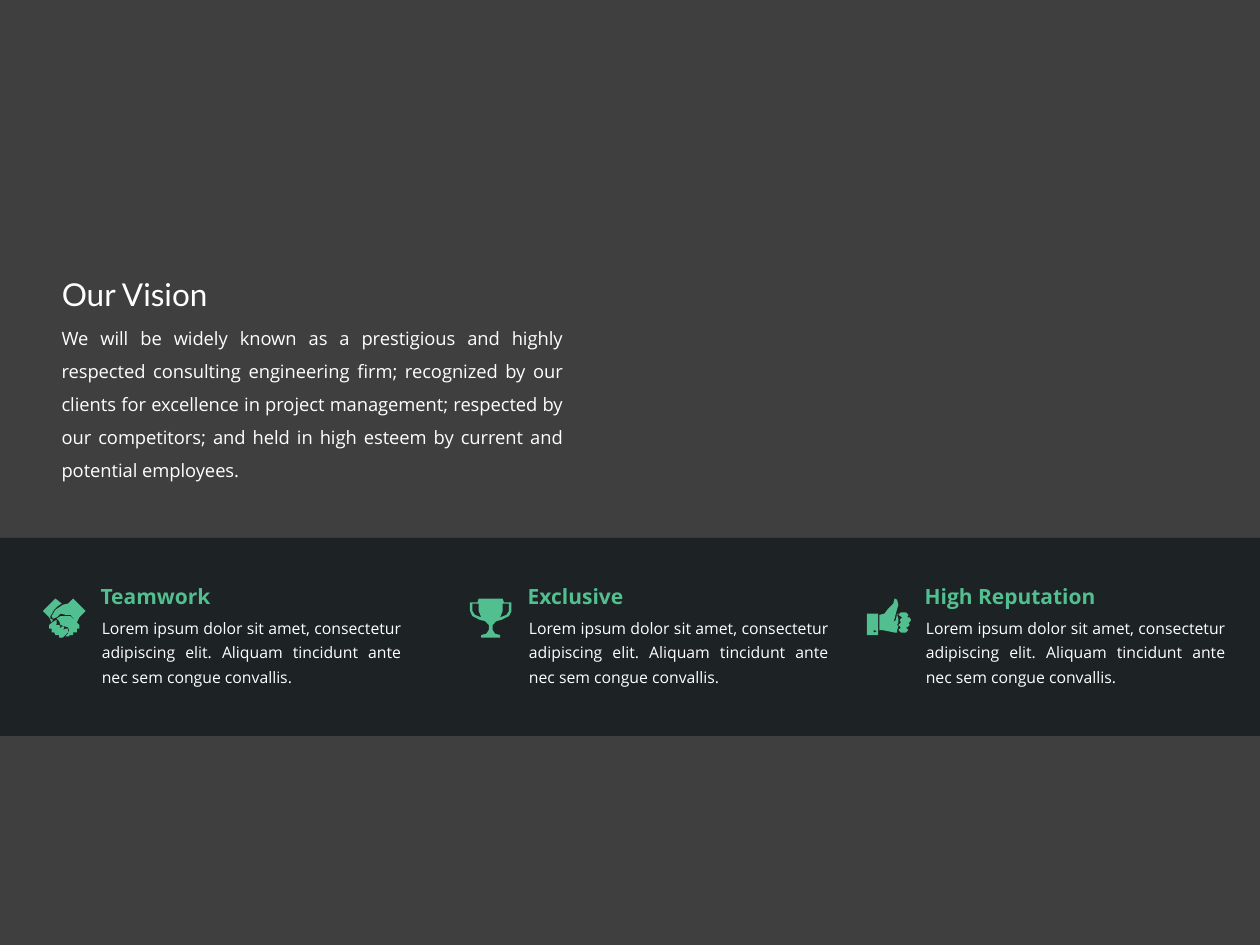
from lxml.etree import SubElement
from pptx import Presentation
from pptx.dml.color import RGBColor
from pptx.enum.shapes import MSO_SHAPE
from pptx.enum.text import MSO_ANCHOR, MSO_AUTO_SIZE, PP_ALIGN
from pptx.oxml.ns import qn
from pptx.util import Inches, Pt

COLORS = {"back": "3F3F3F", "band": "181E20", "accent": "52BF90", "text": "FFFFFF"}
VISION = (
    "We will be widely known as a prestigious and highly respected consulting "
    "engineering firm; recognized by our clients for excellence in project "
    "management; respected by our competitors; and held in high esteem by "
    "current and potential employees."
)
LOREM = (
    "Lorem ipsum dolor sit amet, consectetur adipiscing elit. "
    "Aliquam tincidunt ante nec sem congue convallis."
)
HANDSHAKE = [
    [(5, 15), (0, 10), (10, 0), (15, 4), (12, 6), (9, 9), (6, 14), (6, 16),
     (8, 17), (7, 19), (6, 17)],
    [(24, 0), (20, 4), (16, 5), (10, 9), (7, 14), (8, 16), (11, 15), (14, 12),
     (18, 13), (22, 13), (27, 19), (29, 15), (34, 10)],
    [(20, 24), (18, 24), (16, 25), (17, 23), (16, 22), (13, 24), (14, 22),
     (13, 21), (10, 21), (11, 20), (11, 17), (9, 18), (5, 21), (5, 24), (7, 24),
     (7, 27), (9, 27), (10, 29), (13, 29), (13, 31), (16, 31), (20, 27)],
    [(22, 14), (14, 14), (11, 16), (13, 18), (14, 21), (17, 22), (20, 23),
     (21, 25), (20, 28), (18, 30), (21, 30), (21, 29), (24, 29), (24, 27),
     (27, 27), (27, 24), (29, 24), (29, 21)],
]
TROPHY = [
    [(0, 3), (6, 3), (7, 0), (26, 0), (27, 3), (33, 3), (33, 10), (31, 14),
     (25, 17), (21, 18), (18, 21), (18, 25), (20, 28), (24, 29), (24, 31),
     (9, 31), (9, 29), (13, 28), (15, 25), (15, 21), (12, 18), (8, 17), (2, 14),
     (0, 10)],
    [(2, 4), (7, 4), (7, 10), (9, 15), (4, 13), (2, 10)],
    [(31, 4), (26, 4), (26, 10), (24, 15), (29, 13), (31, 10)],
]
THUMB = [
    [(0, 12), (9, 12), (9, 29), (0, 29)],
    [(5, 26), (6, 27), (8, 26), (6, 25)],
    [(24, 25), (24, 27), (22, 27), (17, 26), (12, 25), (10, 25), (10, 13),
     (14, 12), (17, 8), (21, 4), (22, 0), (24, 1), (25, 5), (23, 12), (22, 16),
     (21, 19), (23, 17), (24, 12), (25, 12), (24, 13), (25, 16), (25, 19),
     (24, 21), (25, 22)],
    [(27, 11), (31, 11), (33, 13), (32, 15), (34, 15), (35, 17), (34, 19),
     (33, 19), (34, 21), (32, 23), (31, 23), (33, 25), (31, 27), (27, 27),
     (25, 25), (27, 23), (25, 21), (27, 19), (26, 17), (28, 15), (25, 13)],
]
VALUES = [
    (0.7, "Teamwork", HANDSHAKE),
    (4.09, "Exclusive", TROPHY),
    (7.24, "High Reputation", THUMB),
]


def place(s, box):
    """Move a shape to a box given in inches."""
    s.left, s.top, s.width, s.height = (Inches(v) for v in box)


def paint(s, color):
    """Give a shape a flat fill without line or shadow."""
    s.shadow.inherit = False
    s.fill.solid()
    s.fill.fore_color.rgb = RGBColor.from_string(COLORS[color])
    s.line.fill.background()


def write(s, text, size, font="Open Sans", color="text", bold=False,
          align=PP_ALIGN.LEFT, spacing=1.0, anchor=MSO_ANCHOR.TOP, inset=0.05,
          fit=MSO_AUTO_SIZE.SHAPE_TO_FIT_TEXT):
    """Set and format the single paragraph of a shape."""
    tf = s.text_frame
    tf.text = text
    tf.word_wrap = True
    tf.auto_size = fit
    tf.vertical_anchor = anchor
    tf.margin_left = tf.margin_right = Inches(0.1)
    tf.margin_top = tf.margin_bottom = Inches(inset)
    p = tf.paragraphs[0]
    p.alignment, p.line_spacing = align, spacing
    f = p.runs[0].font
    f.size, f.name, f.bold = Pt(size), font, bold
    f.color.rgb = RGBColor.from_string(COLORS[color])


def add_text(slide, box, text, size, **style):
    """Add a formatted text box."""
    s = slide.shapes.add_textbox(*(Inches(v) for v in box))
    write(s, text, size, **style)


def add_icon(slide, left, top, contours):
    """Draw contours given in hundredths of an inch as one freeform."""
    start, *rest = contours[0]
    builder = slide.shapes.build_freeform(*start, scale=Inches(0.01))
    builder.add_line_segments(rest)
    for first, *others in contours[1:]:
        builder.move_to(*first)
        builder.add_line_segments(others)
    paint(builder.convert_to_shape(Inches(left), Inches(top)), "accent")


def add_vision(slide, left, top, width):
    """Place the title and the vision statement below it."""
    title = slide.shapes.title
    place(title, (left, top, 3.25, 0.4))
    write(title, "Our Vision", 18, font="Lato")
    add_text(slide, (left, top + 0.33, width, 1.25), VISION, 10.5,
             align=PP_ALIGN.JUSTIFY, spacing=1.5, fit=MSO_AUTO_SIZE.NONE)


def add_value(slide, left, top, heading, icon):
    """Place one value: icon, heading and description."""
    add_text(slide, (left, top, 2, 0.2), heading, 12, color="accent", bold=True,
             anchor=MSO_ANCHOR.MIDDLE, inset=0)
    add_text(slide, (left + 0.01, top + 0.18, 2.57, 0.69), LOREM, 9,
             align=PP_ALIGN.JUSTIFY, spacing=1.3, anchor=MSO_ANCHOR.MIDDLE)
    add_icon(slide, left - 0.36, top + 0.12, icon)


def add_band(slide, left, top, width, height):
    """Place the translucent band with the company values."""
    band = slide.shapes.add_shape(
        MSO_SHAPE.RECTANGLE, *(Inches(v) for v in (left, top, width, height)))
    paint(band, "band")
    color = band.fill._xPr.find(qn("a:solidFill"))[0]
    SubElement(color, qn("a:alpha"), val="85000")
    for offset, heading, icon in VALUES:
        add_value(slide, left + offset, top + 0.36, heading, icon)


def main():
    """Build and save the slide."""
    prs = Presentation()
    prs.slide_width, prs.slide_height = Inches(10), Inches(7.5)
    slide = prs.slides.add_slide(prs.slide_layouts[5])
    fill = slide.background.fill
    fill.solid()
    fill.fore_color.rgb = RGBColor.from_string(COLORS["back"])
    add_vision(slide, 0.39, 2.13, 4.18)
    add_band(slide, 0, 4.27, 10, 1.57)
    prs.save("out.pptx")


if __name__ == "__main__":
    main()
